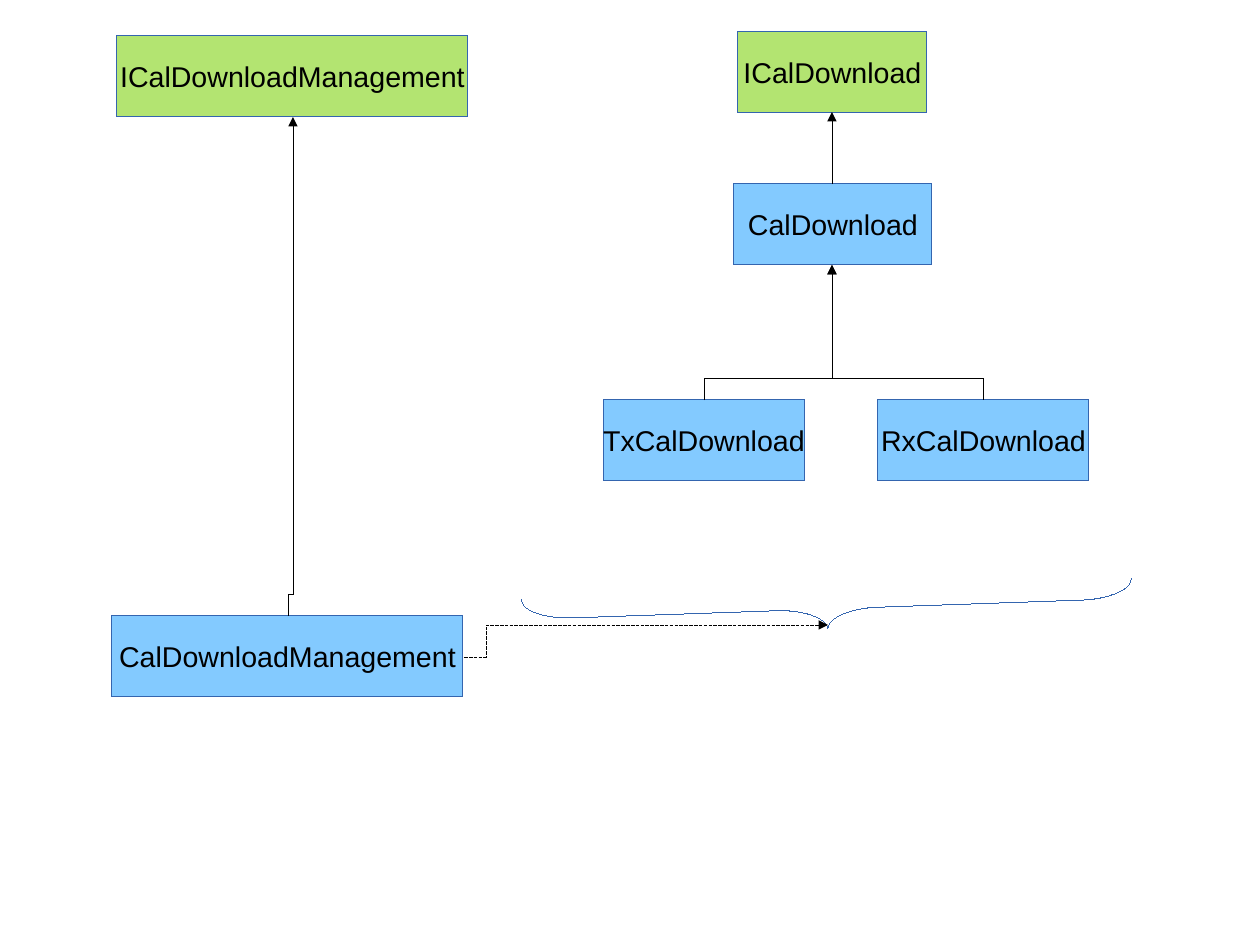
from lxml.etree import SubElement
from pptx import Presentation
from pptx.dml.color import RGBColor
from pptx.enum.dml import MSO_LINE
from pptx.enum.shapes import MSO_CONNECTOR, MSO_SHAPE
from pptx.enum.text import MSO_ANCHOR, PP_ALIGN
from pptx.oxml.ns import qn
from pptx.util import Pt

PX = 8000
BEND = 22
HIGH = 81
GREEN, BLUE, EDGE, BLACK = "B3E471", "83CAFF", "3465AF", "000000"
color = RGBColor.from_string

deck = Presentation()
deck.slide_width, deck.slide_height = 1260 * PX, 945 * PX
slide = deck.slides.add_slide(deck.slide_layouts[6])
shapes = slide.shapes


def draw(kind, left, top, wide, high, text="", fill=None, size=18,
         font="Arial", ink=BLACK):
    """Add a hairline shape, with a fill and centred text if given."""
    shape = shapes.add_shape(kind, left * PX, top * PX, wide * PX, high * PX)
    shape.shadow.inherit = False
    if fill:
        shape.fill.solid()
        shape.fill.fore_color.rgb = color(fill)
    else:
        shape.fill.background()
    shape.line.color.rgb = color(EDGE)
    shape.line._get_or_add_ln().set("w", "0")
    if text:
        frame = shape.text_frame
        frame.word_wrap = False
        frame.vertical_anchor = MSO_ANCHOR.MIDDLE
        para = frame.paragraphs[0]
        para.alignment = PP_ALIGN.CENTER
        run = para.add_run()
        run.text = text
        run.font.size, run.font.name = Pt(size), font
        run.font.color.rgb = color(ink)
    return shape


def arrow(x1, y1, x2, y2, rise=True):
    """Draw an elbow arrow that leaves upward if rise, else sideways."""
    span = x2 - x1
    if rise:
        # Lay the elbow on its side about its centre, then turn it upright.
        mid_x, mid_y = (x1 + x2) / 2, (y1 + y2) / 2
        lean, span = span / 2, y1 - y2
        x1, x2 = mid_x - span / 2, mid_x + span / 2
        y1, y2 = mid_y - lean, mid_y + lean
    ends = [round(n * PX) for n in (x1, y1, x2, y2)]
    link = shapes.add_connector(MSO_CONNECTOR.ELBOW, *ends)
    link.line.color.rgb = color(BLACK)
    edge = link.line._get_or_add_ln()
    edge.set("w", "0")
    prop = link._element.spPr
    if rise:
        prop.find(qn("a:xfrm")).set("rot", str(270 * 60000))
    guides = prop.find(qn("a:prstGeom")).find(qn("a:avLst"))
    ratio = round(BEND / span * 100000)
    SubElement(guides, qn("a:gd"), name="adj1", fmla=f"val {ratio}")
    SubElement(edge, qn("a:tailEnd"), type="triangle")
    SubElement(prop, qn("a:effectLst"))
    return link


for name, left, top, wide, fill in (
    ("ICalDownloadManagement", 117, 36, 351, GREEN),
    ("ICalDownload", 738, 32, 189, GREEN),
    ("CalDownloadManagement", 112, 616, 351, BLUE),
    ("CalDownload", 734, 184, 198, BLUE),
    ("TxCalDownload", 603, 400, 202, BLUE),
    ("RxCalDownload", 878, 400, 211, BLUE),
):
    draw(MSO_SHAPE.RECTANGLE, left, top, wide, HIGH, name, fill)

for ends in (
    (288, 616, 293, 117),
    (832, 184, 832, 112),
    (704, 400, 832, 265),
    (983, 400, 832, 265),
):
    arrow(*ends)

brace = draw(MSO_SHAPE.RIGHT_BRACE, 807, 304, 40, 610)
brace.rotation = 88
brace.adjustments[0] = 1.27

uses = arrow(464, 657, 828, 625, rise=False)
uses.line.dash_style = MSO_LINE.SQUARE_DOT

deck.save("out.pptx")
